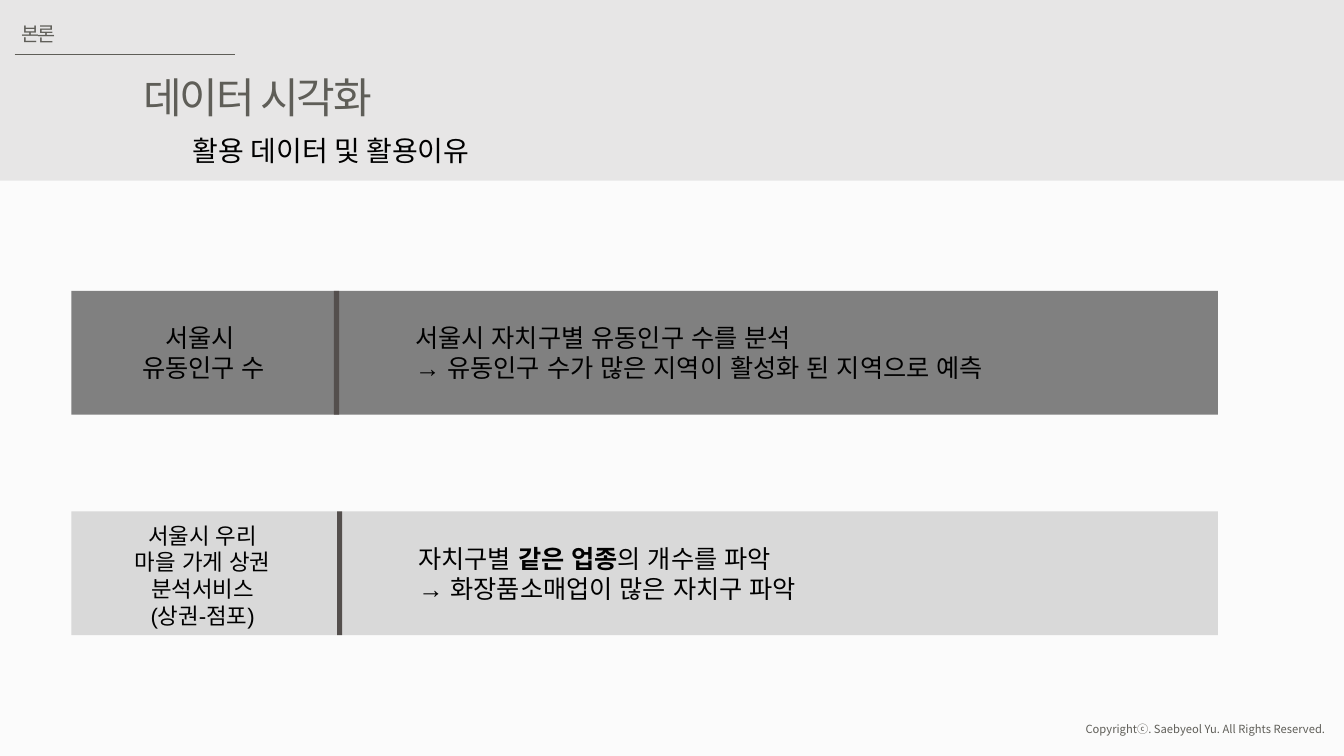
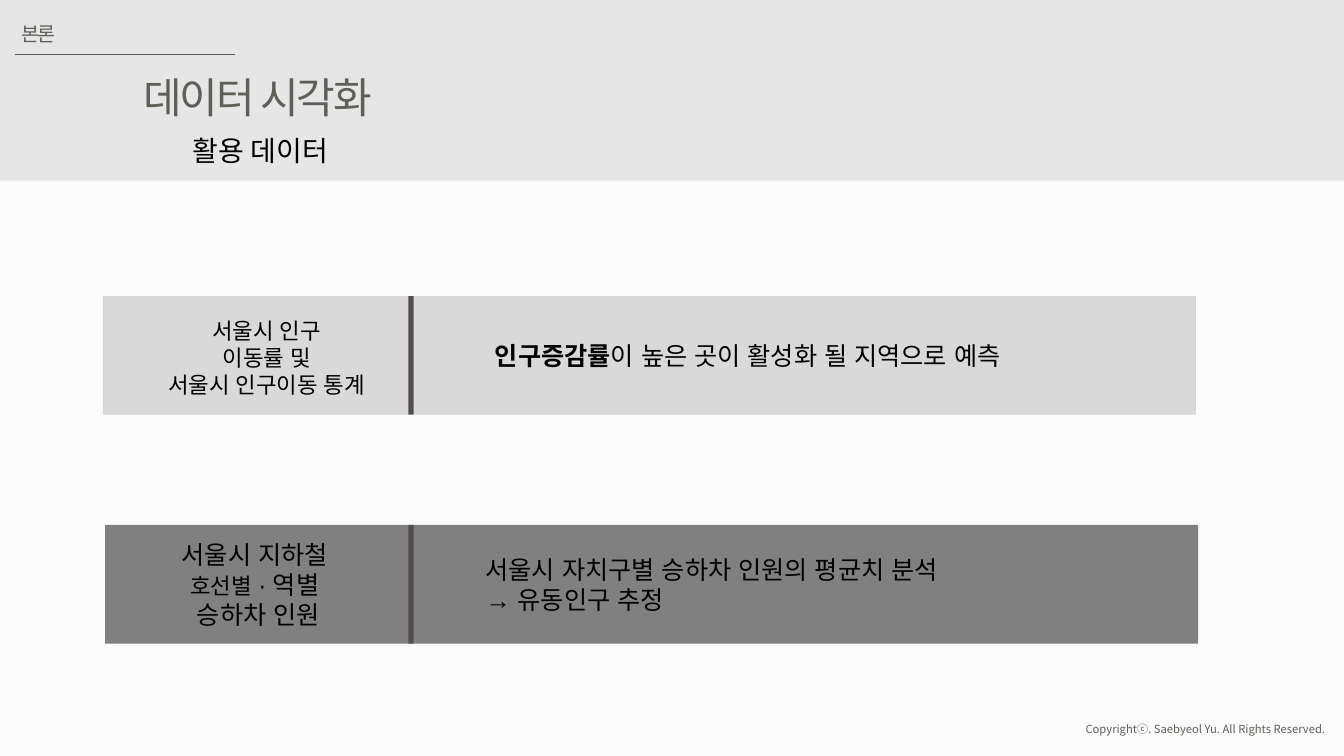
from pptx import Presentation
from pptx.dml.color import RGBColor as Rgb
from pptx.enum.shapes import MSO_CONNECTOR as Conn, MSO_SHAPE as Geo
from pptx.enum.text import MSO_ANCHOR as Anchor, MSO_AUTO_SIZE as Fit, PP_ALIGN as Align
from pptx.oxml.ns import qn
from pptx.util import Pt
from lxml.etree import SubElement as Sub

PX = 9525
WIDE, HIGH = 1280, 720
NOTO, ARIAL = "Noto Sans CJK KR", "Arial"
HUES = {
    "page": "FBFBFB",
    "band": "E7E6E6",
    "gray": "5F5E58",
    "ink": "000000",
    "dark": "808080",
    "light": "D9D9D9",
    "bar": "544F4D",
}


def px(*nums):
    """Turn px lengths into EMU."""
    return [n * PX for n in nums]


def hue(name):
    """Look up a colour."""
    return Rgb.from_string(HUES[name])


def write(shape, lines, size=18, font=ARIAL, color="ink", align=Align.LEFT,
          anchor=Anchor.TOP, wrap=True, track=0):
    """Fill a shape with lines, each a string or a list of (text, format) runs."""
    frame = shape.text_frame
    frame.auto_size, frame.word_wrap = Fit.NONE, wrap
    frame.vertical_anchor = anchor
    for i, line in enumerate(lines):
        para = frame.add_paragraph() if i else frame.paragraphs[0]
        para.alignment = align
        for text, form in [(line, {})] if isinstance(line, str) else line:
            run = para.add_run()
            run.text = text
            face = run.font
            face.name, face.size = font, Pt(form.get("size", size))
            face.bold = form.get("bold", False)
            face.color.rgb = hue(color)
            props = run._r.get_or_add_rPr()
            Sub(props, qn("a:ea")).set("typeface", font)
            if track:
                props.set("spc", str(track))


def label(slide, box, lines, **form):
    """Add a text box."""
    write(slide.shapes.add_textbox(*px(*box)), lines, **form)


def rect(slide, box, fill):
    """Add a plain rectangle."""
    shape = slide.shapes.add_shape(Geo.RECTANGLE, *px(*box))
    shape.shadow.inherit = False
    shape.fill.solid()
    shape.fill.fore_color.rgb = hue(fill)
    shape.line.fill.background()
    return shape


def header(slide, box, sub):
    """Draw the top band with section, rule, title and subtitle."""
    x, y, w, h = box
    title = slide.shapes.title
    title.element.addprevious(rect(slide, box, "band").element)
    title.left, title.top, title.width, title.height = px(x + 127, y + 63, 262, 59)
    write(title, ["데이터 시각화"], size=30, font=NOTO, color="gray",
          wrap=False, track=-150)
    rule = slide.shapes.add_connector(
        Conn.STRAIGHT, *px(x + 14, y + 52, x + 224, y + 52))
    rule.line.color.rgb = hue("gray")
    rule.line.width = Pt(0.5)
    Sub(rule.element.spPr, qn("a:effectLst"))
    label(slide, (x + 11, y + 16, 53, 33), ["본론"], size=14, color="gray",
          wrap=False, track=-150)
    label(slide, (x + 174, y + 122, 342, 42), [sub], size=20, font=NOTO)


def footer(slide, box):
    """Write the copyright line."""
    label(slide, box, ["Copyrightⓒ. Saebyeol Yu. All Rights Reserved."], size=8,
          font=NOTO, color="gray", align=Align.RIGHT, wrap=False)


def panel(slide, box, fill, name, text, mid, bar, start, size=18, drop=0):
    """Draw one data source: its name, a divider and the reason for use."""
    x, y, w, h = box
    rect(slide, box, fill)
    rect(slide, (x + bar, y, 5, h), "bar")
    label(slide, (x, y + drop, 2 * mid, h), name, size=size,
          align=Align.CENTER, anchor=Anchor.MIDDLE)
    label(slide, (x + start, y, w - start, h), text, anchor=Anchor.MIDDLE)


def page(deck, sub, panels):
    """Build one slide."""
    slide = deck.slides.add_slide(deck.slide_layouts.get_by_name("Title Only"))
    header(slide, (0, 0, WIDE, 172), sub)
    for item in panels:
        panel(slide, **item)
    footer(slide, (1020, 683, 252, 23))


PAGES = {
    "활용 데이터 및 활용이유": [
        dict(box=(68, 277, 1092, 118), fill="dark", mid=126, bar=250, start=318,
             name=["서울시 ", "유동인구 수"],
             text=["서울시 자치구별 유동인구 수를 분석",
                   "→ 유동인구 수가 많은 지역이 활성화 된 지역으로 예측"]),
        dict(box=(68, 487, 1092, 118), fill="light", mid=125, bar=253, start=321,
             size=16, drop=2,
             name=["서울시 우리", "마을 가게 상권", "분석서비스", "(상권-점포)"],
             text=[[("자치구별 ", {}), ("같은 업종", {"bold": True}),
                    ("의 개수를 파악", {})],
                   "→ 화장품소매업이 많은 자치구 파악"]),
    ],
    "활용 데이터": [
        dict(box=(98, 282, 1041, 113), fill="light", mid=156, bar=291, start=364,
             size=16, drop=2,
             name=["서울시 인구", "이동률 및", "서울시 인구이동 통계"],
             text=[[("인구증감률", {"bold": True}),
                    ("이 높은 곳이 활성화 될 지역으로 예측", {})]]),
        dict(box=(100, 500, 1041, 113), fill="dark", mid=146, bar=289, start=353,
             name=["서울시 지하철 ",
                   [("호선별", {"size": 16}), (" ∙ 역별 ", {})],
                   "승하차 인원"],
             text=["서울시 자치구별 승하차 인원의 평균치 분석", "→ 유동인구 추정"]),
    ],
}


def main():
    """Build the deck and save it."""
    deck = Presentation()
    deck.slide_width, deck.slide_height = px(WIDE, HIGH)
    back = deck.slide_master.background.fill
    back.solid()
    back.fore_color.rgb = hue("page")
    for sub, panels in PAGES.items():
        page(deck, sub, panels)
    deck.save("out.pptx")


if __name__ == "__main__":
    main()
